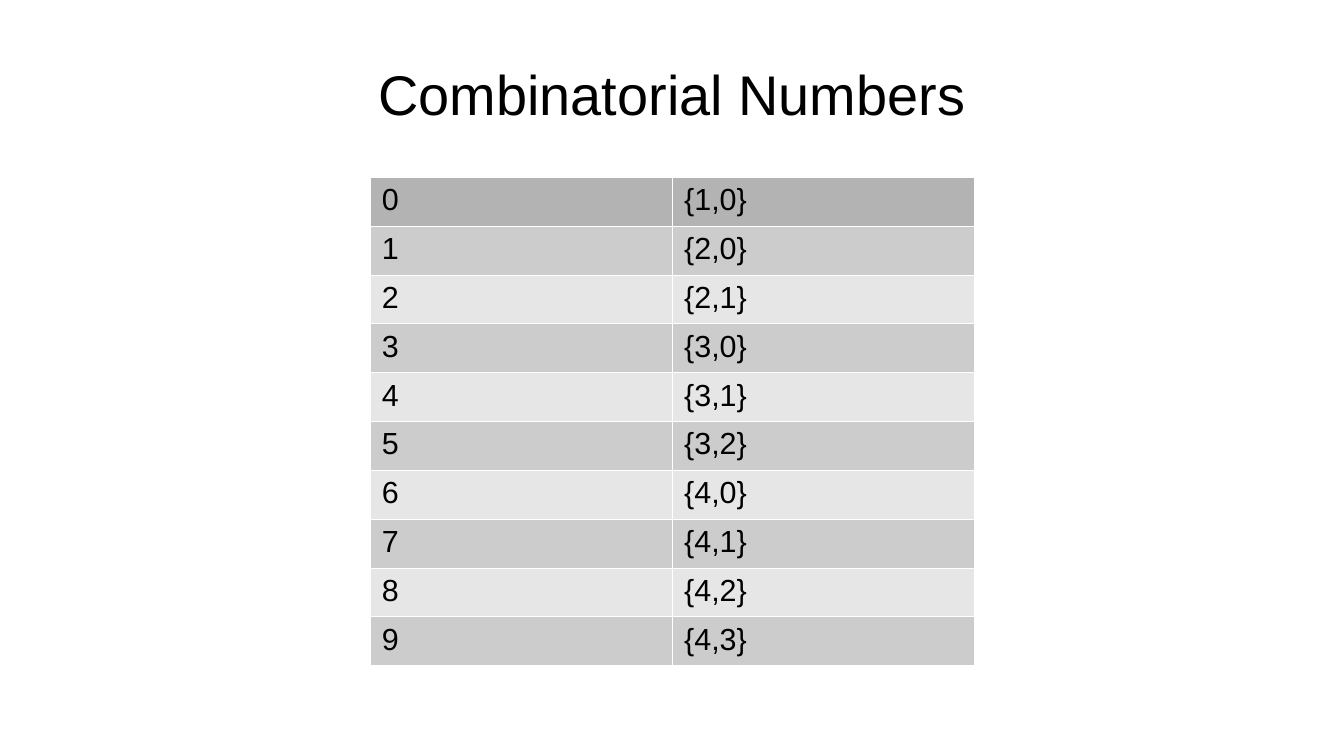
"""Build a slide that lists the two-element combinatorial numbers."""
from lxml import etree
from pptx import Presentation
from pptx.dml.color import RGBColor
from pptx.enum.text import MSO_ANCHOR, MSO_AUTO_SIZE, PP_ALIGN
from pptx.oxml.ns import qn
from pptx.util import Cm, Pt

CENTER, LEFT = PP_ALIGN.CENTER, PP_ALIGN.LEFT
MIDDLE = MSO_ANCHOR.MIDDLE
GROW = MSO_AUTO_SIZE.SHAPE_TO_FIT_TEXT
FONT = "Arial"
BLANK_LAYOUT = 6
COLORS = {
    "text": "000000",
    "border": "FFFFFF",
    "first": "B3B3B3",
    "odd": "CCCCCC",
    "even": "E6E6E6",
}


def write_text(frame, text, size, align=LEFT):
    """Fill a text frame with one formatted paragraph."""
    para = frame.paragraphs[0]
    para.alignment = align
    span = para.add_run()
    span.text = text
    span.font.name = FONT
    span.font.size = Pt(size)
    span.font.color.rgb = RGBColor.from_string(COLORS["text"])


def add_title(page, text):
    """Add the centred title."""
    box = page.shapes.add_textbox(Cm(1.4), Cm(0.63), Cm(25.2), Cm(2.63))
    frame = box.text_frame
    frame.word_wrap = True
    frame.auto_size = GROW
    frame.vertical_anchor = MIDDLE
    frame.margin_left = frame.margin_right = 0
    frame.margin_top = frame.margin_bottom = 0
    write_text(frame, text, size=33, align=CENTER)


def add_borders(cell):
    """Draw a hairline on all four sides of a cell."""
    properties = cell._tc.get_or_add_tcPr()
    for side in ("lnL", "lnR", "lnT", "lnB"):
        line = etree.SubElement(properties, qn(f"a:{side}"), w=str(Pt(0.06)))
        fill = etree.SubElement(line, qn("a:solidFill"))
        etree.SubElement(fill, qn("a:srgbClr"), val=COLORS["border"])


def row_color(index):
    """Choose the fill of a table row."""
    if index == 0:
        return COLORS["first"]
    return COLORS["odd" if index % 2 else "even"]


def add_number_table(page, pairs):
    """Add a table of each number and its pair."""
    table = page.shapes.add_table(
        len(pairs), 2, Cm(7.7), Cm(3.69), Cm(12.6), Cm(10.15)
    ).table
    table.first_row = False
    table.horz_banding = False
    for index, (high, low) in enumerate(pairs):
        texts = (str(index), f"{{{high},{low}}}")
        for cell, text in zip(table.rows[index].cells, texts):
            add_borders(cell)
            cell.fill.solid()
            cell.fill.fore_color.rgb = RGBColor.from_string(row_color(index))
            write_text(cell.text_frame, text, size=18)


def main():
    """Create the deck and save it."""
    deck = Presentation()
    deck.slide_width, deck.slide_height = Cm(28), Cm(15.75)
    page = deck.slides.add_slide(deck.slide_layouts[BLANK_LAYOUT])
    add_title(page, "Combinatorial Numbers")
    add_number_table(page, [(high, low) for high in range(1, 5) for low in range(high)])
    deck.save("out.pptx")


if __name__ == "__main__":
    main()
